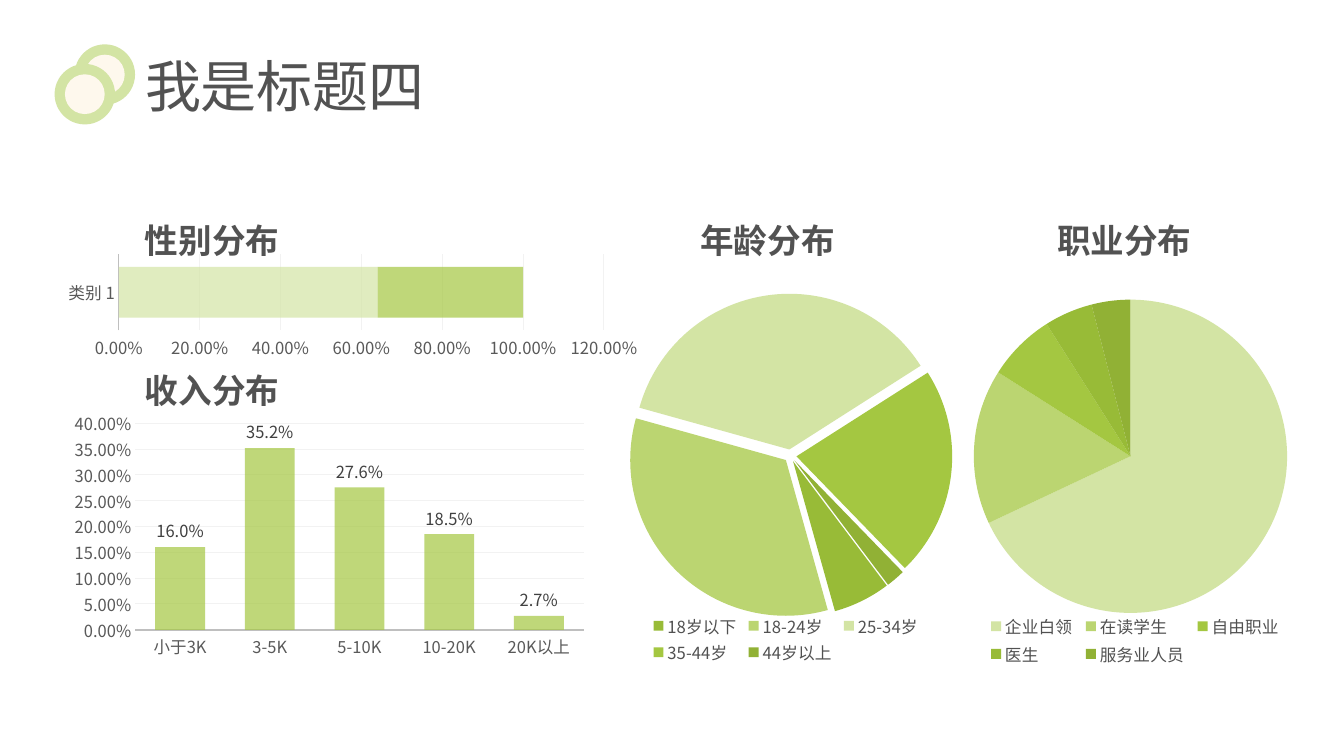
"""Build the audience distribution slide with four charts and their headings."""
from dataclasses import dataclass

from lxml import etree
from pptx import Presentation
from pptx.chart.data import CategoryChartData
from pptx.dml.color import RGBColor
from pptx.enum import chart as ch, shapes as sh, text as tx
from pptx.oxml import ns
from pptx.util import Pt

FONT = "Noto Sans CJK SC"
PALE = RGBColor(0xD3, 0xE4, 0xA4)
LIGHT = RGBColor(0xBB, 0xD5, 0x71)
GREEN = RGBColor(0xA4, 0xC7, 0x41)
DEEP = RGBColor(0x98, 0xBB, 0x37)
DARK = RGBColor(0x91, 0xB1, 0x35)
CREAM = RGBColor(0xFE, 0xF8, 0xED)
INK = RGBColor(0x52, 0x52, 0x52)
LEGEND_INK = RGBColor(0x51, 0x51, 0x51)
AXIS_INK = RGBColor(0x59, 0x59, 0x59)
LABEL_INK = RGBColor(0x40, 0x40, 0x40)
AXIS_LINE = RGBColor(0xBF, 0xBF, 0xBF)
GRID = RGBColor(0xF2, 0xF2, 0xF2)
CHART_SIZE = 11.9

Box = tuple[float, float, float, float]


@dataclass
class Heading:
    words: str
    box: Box
    size: float = 24
    bold: bool = True
    anchor: tx.MSO_ANCHOR = tx.MSO_ANCHOR.MIDDLE


@dataclass
class Bars:
    kind: ch.XL_CHART_TYPE
    box: Box
    categories: list[str]
    series: list[list[float]]
    colors: list[RGBColor]
    gap: int
    overlap: int
    top: float
    step: float
    axis_width: float
    plot: Box | None = None
    labelled: bool = False


@dataclass
class Pie:
    box: Box
    categories: list[str]
    values: list[float]
    colors: list[RGBColor]
    plot: Box
    legend: Box
    start: int = 0
    explosion: int = 0


HEADINGS = [
    Heading("我是标题四", (96.5, 33, 229.7, 55.5), 40, False, tx.MSO_ANCHOR.TOP),
    Heading("性别分布", (96.5, 152, 199.5, 39)),
    Heading("收入分布", (96.5, 259.2, 199.5, 39)),
    Heading("年龄分布", (493.2, 152, 199.5, 39)),
    Heading("职业分布", (748, 152, 199.5, 39)),
]
GENDER = Bars(ch.XL_CHART_TYPE.BAR_STACKED, (40.3, 180, 423.4, 78.5), ["类别 1"],
              [[0.64], [0.36]], [PALE, GREEN], 50, 100, 1.2, 0.2, 0.75)
AGE = Pie((396, 152.6, 330.5, 323.3), ["18岁以下", "18-24岁", "25-34岁", "35-44岁", "44岁以上"],
          [6, 34, 37, 22, 2], [DEEP, LIGHT, PALE, GREEN, DARK],
          (0.16, 0.07, 0.7, 0.93), (0.2, 0.88, 0.6, 0.12), 143, 4)
JOB = Pie((650.9, 125.3, 319.7, 375.1), ["企业白领", "在读学生", "自由职业", "医生", "服务业人员"],
          [68, 16, 7, 5, 4], [PALE, LIGHT, GREEN, DEEP, DARK],
          (0.14, 0.07, 0.7, 0.93), (0.16, 0.83, 0.68, 0.11))
INCOME = Bars(ch.XL_CHART_TYPE.COLUMN_CLUSTERED, (53.3, 276.5, 364.3, 199.4),
              ["小于3K", "3-5K", "5-10K", "10-20K", "20K以上"],
              [[0.16, 0.352, 0.276, 0.185, 0.027]], [GREEN], 80, 25, 0.4, 0.05, 1.25,
              (0.11, 0.13, 0.89, 0.74), True)
RING_SIZE, RING_INSET = 43.2, 7.4
RING_CORNERS = [(53.3, 31.7), (39, 45.7)]


def points(box: Box) -> list[Pt]:
    return [Pt(value) for value in box]


def set_font(font, size: float, color: RGBColor, bold: bool = False) -> None:
    font.size, font.bold, font.name = Pt(size), bold, FONT
    font.color.rgb = color
    etree.SubElement(font._rPr, ns.qn("a:ea")).set("typeface", FONT)


def set_layout(parent, index: int, box: Box, inner: bool) -> None:
    for old in parent.findall(ns.qn("c:layout")):
        parent.remove(old)
    layout = etree.Element(ns.qn("c:layout"))
    manual = etree.SubElement(layout, ns.qn("c:manualLayout"))
    rules = [("layoutTarget", "inner")] if inner else []
    rules += [("xMode", "edge"), ("yMode", "edge"), *zip("xywh", map(str, box))]
    for tag, value in rules:
        etree.SubElement(manual, ns.qn(f"c:{tag}")).set("val", value)
    parent.insert(index, layout)


def add_chart(slide, kind: ch.XL_CHART_TYPE, box: Box, categories: list[str],
              series: list[list[float]], plot_box: Box | None):
    data = CategoryChartData()
    data.categories = categories
    for number, values in enumerate(series, 1):
        data.add_series(f"Series {number}", values)
    chart = slide.shapes.add_chart(kind, *points(box), data).chart
    chart.has_title = chart.has_legend = False
    set_font(chart.font, 10, RGBColor(0, 0, 0))
    if plot_box:
        set_layout(chart.plots[0]._element.getparent(), 0, plot_box, True)
    return chart


def add_bars(slide, bars: Bars) -> None:
    chart = add_chart(slide, bars.kind, bars.box, bars.categories, bars.series, bars.plot)
    plot = chart.plots[0]
    plot.gap_width, plot.overlap, plot.vary_by_categories = bars.gap, bars.overlap, False
    for series, color in zip(plot.series, bars.colors):
        fill = series.format.fill
        fill.solid()
        fill.fore_color.rgb = color
        shade = series._element.find(".//" + ns.qn("a:srgbClr"))
        etree.SubElement(shade, ns.qn("a:alpha")).set("val", "70000")
    for axis in (chart.category_axis, chart.value_axis):
        axis.major_tick_mark = axis.minor_tick_mark = ch.XL_TICK_MARK.NONE
        set_font(axis.tick_labels.font, CHART_SIZE, AXIS_INK)
    baseline = chart.category_axis.format.line
    baseline.color.rgb, baseline.width = AXIS_LINE, Pt(bars.axis_width)
    scale = chart.value_axis
    scale.minimum_scale, scale.maximum_scale, scale.major_unit = 0, bars.top, bars.step
    scale.format.line.fill.background()
    scale.tick_labels.number_format = "0.00%"
    scale.tick_labels.number_format_is_linked = False
    gridline = scale.major_gridlines.format.line
    gridline.color.rgb, gridline.width = GRID, Pt(0.75)
    if bars.labelled:
        labels = plot.series[0].data_labels
        labels.show_value = True
        labels.position = ch.XL_LABEL_POSITION.OUTSIDE_END
        labels.number_format, labels.number_format_is_linked = "0.0%", False
        set_font(labels.font, CHART_SIZE, LABEL_INK)


def add_pie(slide, pie: Pie) -> None:
    chart = add_chart(slide, ch.XL_CHART_TYPE.PIE, pie.box, pie.categories, [pie.values], pie.plot)
    plot = chart.plots[0]
    series = plot.series[0]
    for index, color in enumerate(pie.colors):
        slice_format = series.points[index].format
        slice_format.fill.solid()
        slice_format.fill.fore_color.rgb = color
        slice_format.line.fill.background()
    if pie.explosion:
        explosion = etree.Element(ns.qn("c:explosion"))
        explosion.set("val", str(pie.explosion))
        series._element.find(ns.qn("c:dPt")).addprevious(explosion)
    for old in plot._element.findall(ns.qn("c:firstSliceAng")):
        plot._element.remove(old)
    etree.SubElement(plot._element, ns.qn("c:firstSliceAng")).set("val", str(pie.start))
    chart.has_legend = True
    legend = chart.legend
    legend.position, legend.include_in_layout = ch.XL_LEGEND_POSITION.BOTTOM, False
    set_font(legend.font, CHART_SIZE, LEGEND_INK)
    set_layout(legend._element, 1, pie.legend, False)


def add_ring(slide, left: float, top: float) -> None:
    for inset, color in ((0, PALE), (RING_INSET, CREAM)):
        size = RING_SIZE - 2 * inset
        disc = slide.shapes.add_shape(sh.MSO_SHAPE.OVAL,
                                      *points((left + inset, top + inset, size, size)))
        disc.shadow.inherit = False
        disc.fill.solid()
        disc.fill.fore_color.rgb = color
        disc.line.fill.background()


def add_heading(slide, heading: Heading) -> None:
    frame = slide.shapes.add_textbox(*points(heading.box)).text_frame
    frame.word_wrap, frame.vertical_anchor = True, heading.anchor
    paragraph = frame.paragraphs[0]
    paragraph.text = heading.words
    set_font(paragraph.font, heading.size, INK, heading.bold)


def main() -> None:
    deck = Presentation()
    deck.slide_width, deck.slide_height = Pt(960), Pt(540)
    slide = deck.slides.add_slide(deck.slide_layouts[6])
    add_bars(slide, GENDER)
    for pie in (AGE, JOB):
        add_pie(slide, pie)
    add_bars(slide, INCOME)
    for corner in RING_CORNERS:
        add_ring(slide, *corner)
    for heading in HEADINGS:
        add_heading(slide, heading)
    deck.save("out.pptx")


if __name__ == "__main__":
    main()
